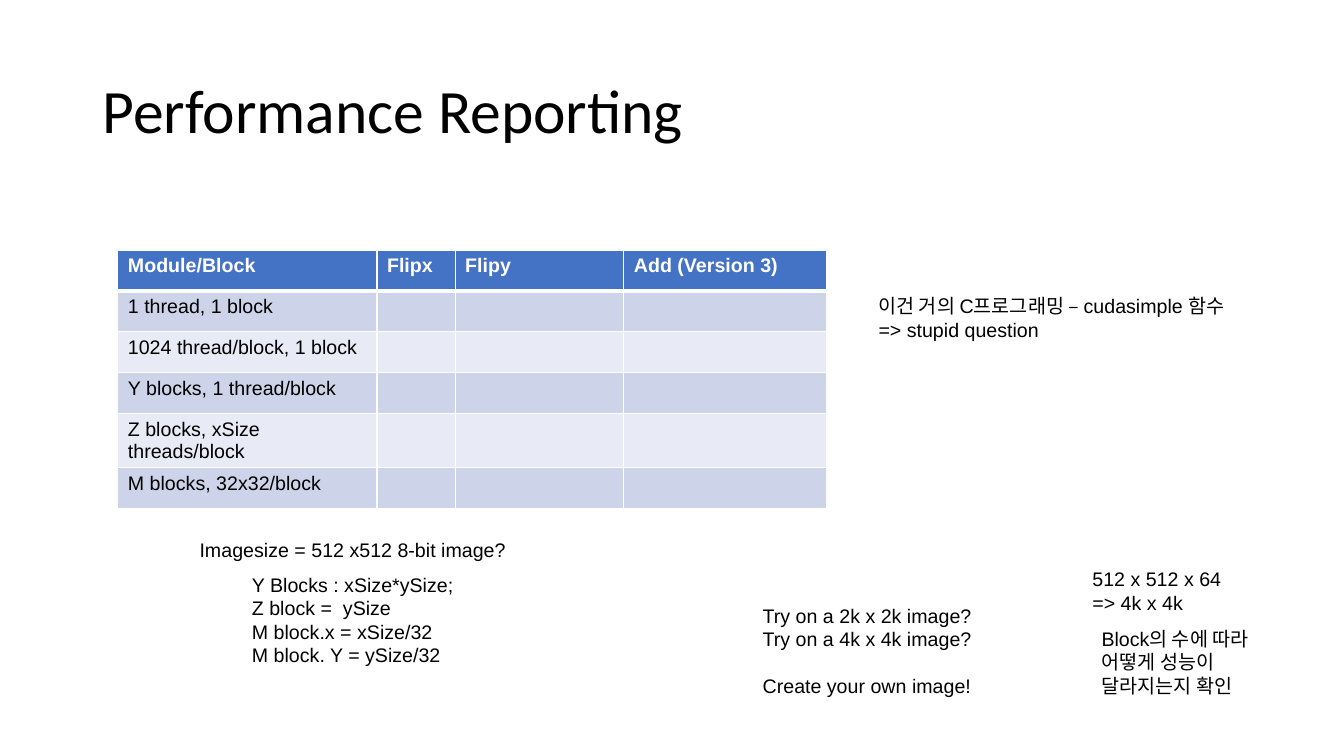
"""Build the Performance Reporting slide with its table and notes."""
from lxml import etree
from pptx import Presentation
from pptx.dml.color import RGBColor
from pptx.enum import text
from pptx.oxml import ns
from pptx.util import Cm, Pt

BLACK = RGBColor(0x00, 0x00, 0x00)
WHITE = RGBColor(0xFF, 0xFF, 0xFF)
BLUE = RGBColor(0x44, 0x72, 0xC4)
DARK = RGBColor(0xCD, 0xD4, 0xEA)
PALE = RGBColor(0xE8, 0xEB, 0xF5)


def style(para, **extra):
    form = {"name": "Arial", "size": Pt(14), "bold": False, **extra}
    color = form.pop("color", BLACK)
    for run in para.runs:
        for key, value in form.items():
            setattr(run.font, key, value)
        run.font.color.rgb = color


def edge(cell, side, width):
    props = cell._tc.get_or_add_tcPr()
    line = etree.SubElement(props, ns.qn(f"a:ln{side}"), w=str(Pt(width)))
    fill = etree.SubElement(line, ns.qn("a:solidFill"))
    etree.SubElement(fill, ns.qn("a:srgbClr"), val=str(WHITE))


deck = Presentation()
deck.slide_width, deck.slide_height = Cm(33.87), Cm(19.05)
slide = deck.slides.add_slide(deck.slide_layouts[5])

title = slide.shapes.title
place = {"left": 2.33, "top": 1.01, "width": 29.21, "height": 3.68}
for key, value in place.items():
    setattr(title, key, Cm(value))
frame = title.text_frame
frame.text = "Performance Reporting"
frame.auto_size = text.MSO_AUTO_SIZE.NONE
frame.vertical_anchor = text.MSO_ANCHOR.MIDDLE
head = frame.paragraphs[0]
head.alignment = text.PP_ALIGN.LEFT
head.line_spacing = 0.9
style(head, name="Calibri", size=Pt(44))

heads = ["Module/Block", "Flipx", "Flipy", "Add (Version 3)"]
cases = [
    "1 thread, 1 block",
    "1024 thread/block, 1 block",
    "Y blocks, 1 thread/block",
    "Z blocks, xSize threads/block",
    "M blocks, 32x32/block",
]
rows = [heads] + [[case, "", "", ""] for case in cases]
widths = [6.53, 1.97, 4.25, 5.11]
high = 1.03
grid = slide.shapes.add_table(
    len(rows), len(widths), Cm(2.97), Cm(6.3), Cm(sum(widths)), Cm(high * len(rows))
).table
for col, width in zip(grid.columns, widths):
    col.width = Cm(width)
for r, row in enumerate(rows):
    grid.rows[r].height = Cm(high)
    for c, words in enumerate(row):
        cell = grid.cell(r, c)
        for side in "LRTB":
            thick = (r, side) in [(0, "B"), (1, "T")]
            edge(cell, side, 3 if thick else 1)
        cell.fill.solid()
        cell.fill.fore_color.rgb = BLUE if r == 0 else DARK if r % 2 else PALE
        if words:
            cell.text = words
            style(cell.text_frame.paragraphs[0], bold=r == 0,
                  color=BLACK if r else WHITE)

notes = [
    (6.1, 14.3, 5.64, 2.64, ["Y Blocks : xSize*ySize;", "Z block =  ySize",
                             "M block.x = xSize/32", "M block. Y = ySize/32"]),
    (18.97, 15.09, 5.82, 2.64, ["Try on a 2k x 2k image?", "Try on a 4k x 4k image?",
                                "Create your own image!"]),
    (4.78, 13.44, 8.26, 0.86, ["Imagesize = 512 x512 8-bit image?"]),
    (27.51, 15.67, 4.78, 2.06, ["Block의 수에 따라 어떻게 성능이 달라지는지 확인"]),
    (27.28, 14.17, 4.27, 1.45, ["512 x 512 x 64 => 4k x 4k"]),
    (21.89, 7.29, 9.91, 1.45, ["이건 거의 C프로그래밍 – cudasimple 함수 => stupid question"]),
]
for *spot, lines in notes:
    frame = slide.shapes.add_textbox(*map(Cm, spot)).text_frame
    frame.word_wrap = True
    frame.auto_size = text.MSO_AUTO_SIZE.SHAPE_TO_FIT_TEXT
    frame.text = "\n".join(lines)
    for para in frame.paragraphs:
        style(para)
        if para.text.startswith("Create"):
            para.space_before = Pt(16.5)

deck.save("out.pptx")
